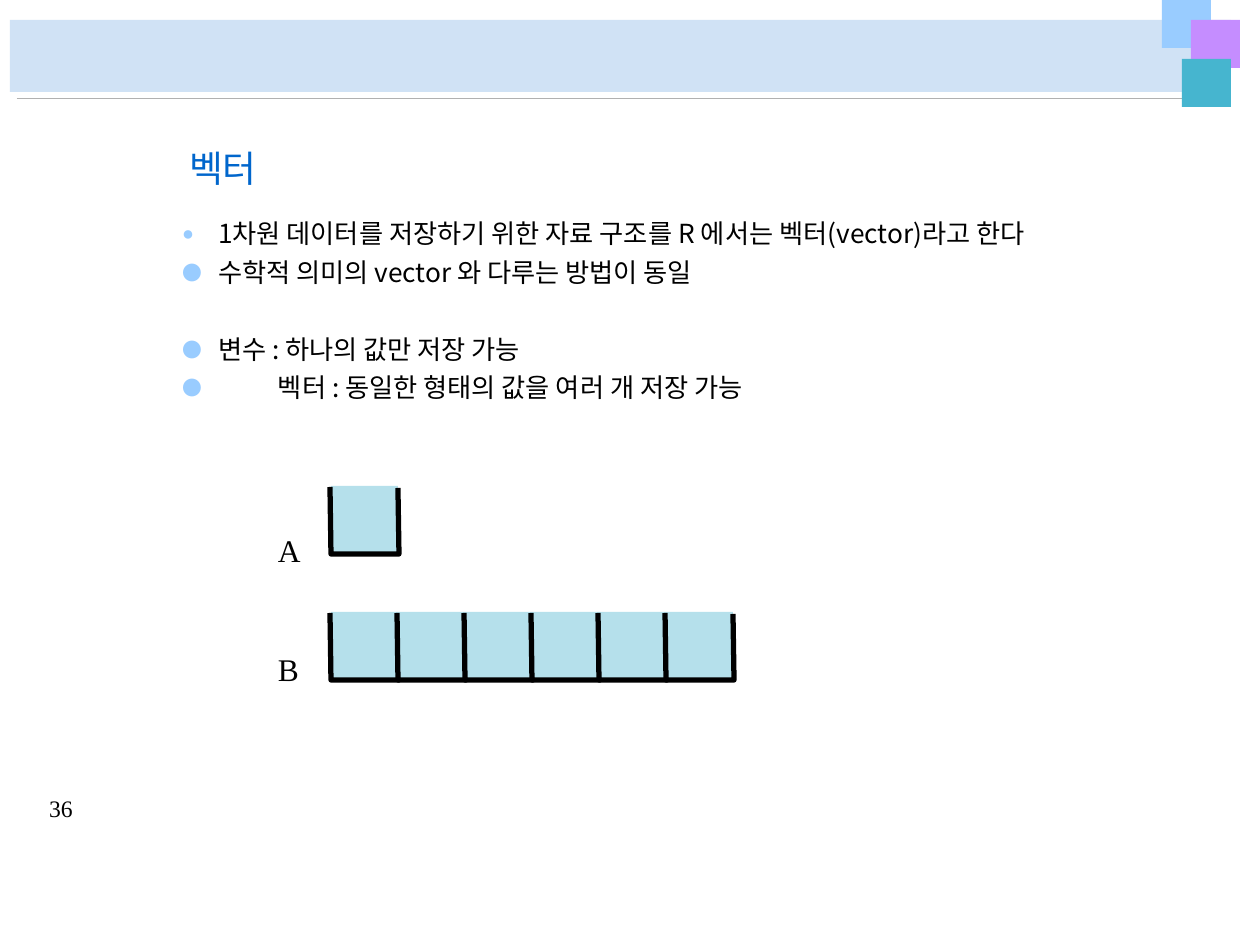
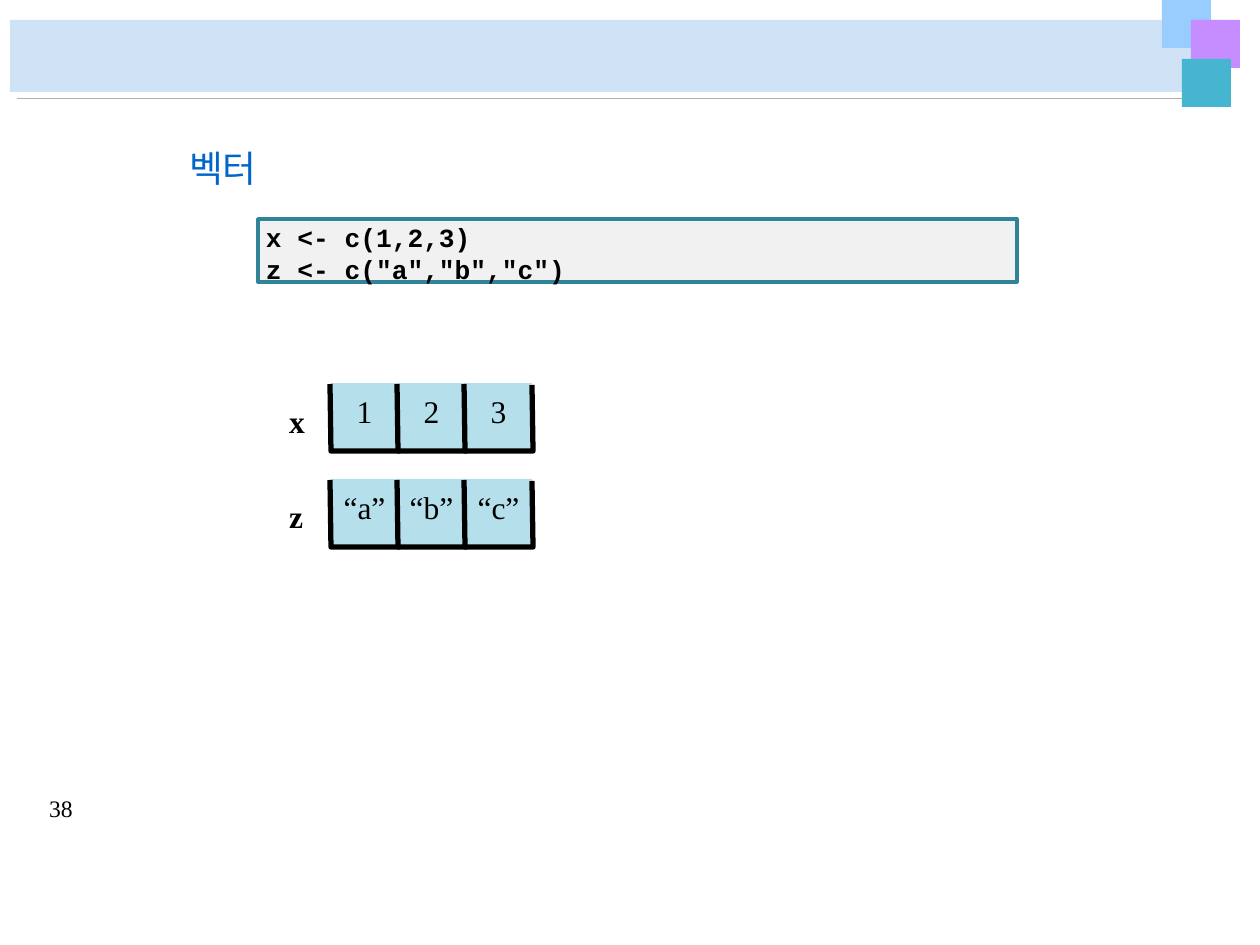
from dataclasses import dataclass

from pptx import Presentation, util as u
from pptx.dml.color import RGBColor
from pptx.enum import shapes, text
from pptx.oxml import ns, xmlchemy as xml


@dataclass(frozen=True)
class Theme:
    band: str = "D0E2F5"
    rule: str = "B1B1B1"
    sky: str = "99CCFF"
    violet: str = "C58DFF"
    teal: str = "46B5CF"
    cell: str = "B5E0EB"
    title: str = "0066CC"
    ink: str = "000000"
    code: str = "F1F1F1"
    edge: str = "318497"
    sans: str = "Noto Sans CJK KR"
    serif: str = "Times New Roman"
    mono: str = "Courier New"
    dot: str = "Arial"
    head: float = 21
    body: float = 15
    label: float = 18
    page: float = 13.5


T = Theme()
CELL = 67
LEFT = 331

HEAD = dict(name=T.sans, size=u.Pt(T.head), color=T.title)
BODY = dict(name=T.sans, size=u.Pt(T.body), color=T.ink)
LABEL = dict(name=T.serif, size=u.Pt(T.label), color=T.ink)
BOLD = dict(LABEL, bold=True)
PAGE = dict(LABEL, size=u.Pt(T.page))
CODE = dict(name=T.mono, size=u.Pt(T.body), color=T.ink, bold=True)
TIGHT = dict(line_spacing=u.Pt(18.3))

BULLETS = [
    ("1차원 데이터를 저장하기 위한 자료 구조를 R 에서는 벡터(vector)라고 한다", T.dot, 36, 0),
    ("수학적 의미의 vector 와 다루는 방법이 동일", T.sans, 36, 3.6),
    ("변수 : 하나의 값만 저장 가능", T.sans, 36, 25.7),
    ("벡터 : 동일한 형태의 값을 여러 개 저장 가능", T.sans, 96, 3.6),
]


def px(n):
    return u.Emu(round(n * 914400 / 126))


def rgb(code):
    return RGBColor.from_string(code)


def apply(item, form):
    for key, val in form.items():
        setattr(item, key, val)


def node(root, tag, **attrs):
    item = xml.OxmlElement(tag)
    for key, val in attrs.items():
        item.set(key, str(val))
    root.append(item)
    return item


def paint(shape, fill=None, line=None, width=1):
    shape.shadow.inherit = False
    if fill:
        shape.fill.solid()
        shape.fill.fore_color.rgb = rgb(fill)
    else:
        shape.fill.background()
    if line:
        shape.line.color.rgb = rgb(line)
        shape.line.width = u.Pt(width)
    else:
        shape.line.fill.background()


def block(slide, x, y, w, h, fill, **edge):
    shape = slide.shapes.add_shape(
        shapes.MSO_SHAPE.RECTANGLE, px(x), px(y), px(w), px(h))
    paint(shape, fill, **edge)
    return shape


def frame(shape, left=0, top=0, wrap=True):
    form = dict(margin_left=px(left), margin_top=px(top), margin_right=0,
                margin_bottom=0, word_wrap=wrap,
                vertical_anchor=text.MSO_ANCHOR.TOP)
    apply(shape.text_frame, form)
    return shape.text_frame


def write(para, words, form, align=text.PP_ALIGN.LEFT, **gaps):
    apply(para, dict(gaps, alignment=align))
    run = para.add_run()
    run.text = words
    apply(run.font, {k: v for k, v in form.items() if k != "color"})
    run.font.color.rgb = rgb(form["color"])
    node(run.font._element, "a:ea", typeface=form["name"])


def add(slide, x, y, w, h, wrap=True):
    box = slide.shapes.add_textbox(px(x), px(y), px(w), px(h))
    return frame(box, wrap=wrap)


def label(slide, x, y, words, form, **gaps):
    area = add(slide, x, y, 80, 38, wrap=False)
    write(area.paragraphs[0], words, form, **gaps)


def bullet(para, font, indent):
    props = para._p.get_or_add_pPr()
    props.set("marL", str(px(indent)))
    props.set("indent", str(-px(indent)))
    node(node(props, "a:buClr"), "a:srgbClr", val=T.sky)
    node(props, "a:buSzPct", val=75000)
    node(props, "a:buFont", typeface=font)
    node(props, "a:buChar", char="●")


def listing(slide, x, y, w, h, items):
    area = add(slide, x, y, w, h)
    for i, (words, font, indent, gap) in enumerate(items):
        para = area.add_paragraph() if i else area.paragraphs[0]
        bullet(para, font, indent)
        write(para, words, BODY, space_before=u.Pt(gap), **TIGHT)


def code(slide, x, y, w, h, lines):
    shape = block(slide, x, y, w, h, T.code, line=T.edge, width=2.04)
    area = frame(shape, left=8, top=2)
    for i, words in enumerate(lines):
        para = area.add_paragraph() if i else area.paragraphs[0]
        write(para, words, CODE, **TIGHT)


def tray(slide, x, y):
    path = [(x - 1, y + 1), (x, y + 68), (x + 68, y + 68), (x + 67, y + 2)]
    pts = [(px(a), px(b)) for a, b in path]
    pen = slide.shapes.build_freeform(*pts[0])
    pen.add_line_segments(pts[1:], close=False)
    paint(pen.convert_to_shape(), line=T.ink, width=3)


def vector(slide, y, values):
    for i, value in enumerate(values):
        x = LEFT + i * CELL
        shape = block(slide, x, y, CELL, CELL, T.cell)
        if value:
            area = frame(shape, top=9, wrap=False)
            write(area.paragraphs[0], value, LABEL, text.PP_ALIGN.CENTER)
        tray(slide, x, y)


def rule(slide, x, y, end):
    line = slide.shapes.add_connector(
        shapes.MSO_CONNECTOR.STRAIGHT, px(x), px(y), px(end), px(y))
    line.line.color.rgb = rgb(T.rule)
    line.line.width = u.Pt(0.48)
    node(line._element.find(ns.qn("p:spPr")), "a:effectLst")


def page(deck, title, number):
    slide = deck.slides.add_slide(deck.slide_layouts[6])
    block(slide, 10, 20, 1221, 72, T.band)
    rule(slide, 17, 98, 1182)
    corner = [(1162, 0, T.sky), (1191, 20, T.violet), (1182, 59, T.teal)]
    for x, y, fill in corner:
        block(slide, x, y, 49, 48, fill)
    label(slide, 189, 145, title, HEAD, line_spacing=u.Pt(25.6))
    label(slide, 49, 794, number, PAGE)
    return slide


def main():
    deck = Presentation()
    apply(deck, dict(slide_width=px(1260), slide_height=px(945)))

    intro = page(deck, "벡터", "36")
    listing(intro, 182, 217, 850, 220, BULLETS)
    label(intro, 278, 531, "A", LABEL)
    vector(intro, 486, [""])
    label(intro, 278, 650, "B", LABEL)
    vector(intro, 612, [""] * 6)

    sample = page(deck, "벡터", "38")
    code(sample, 258, 219, 759, 63, ["x <- c(1,2,3)", 'z <- c("a","b","c")'])
    label(sample, 289, 402, "x", BOLD)
    vector(sample, 383, ["1", "2", "3"])
    label(sample, 289, 497, "z", BOLD)
    vector(sample, 479, ["“a”", "“b”", "“c”"])

    deck.save("out.pptx")


if __name__ == "__main__":
    main()
